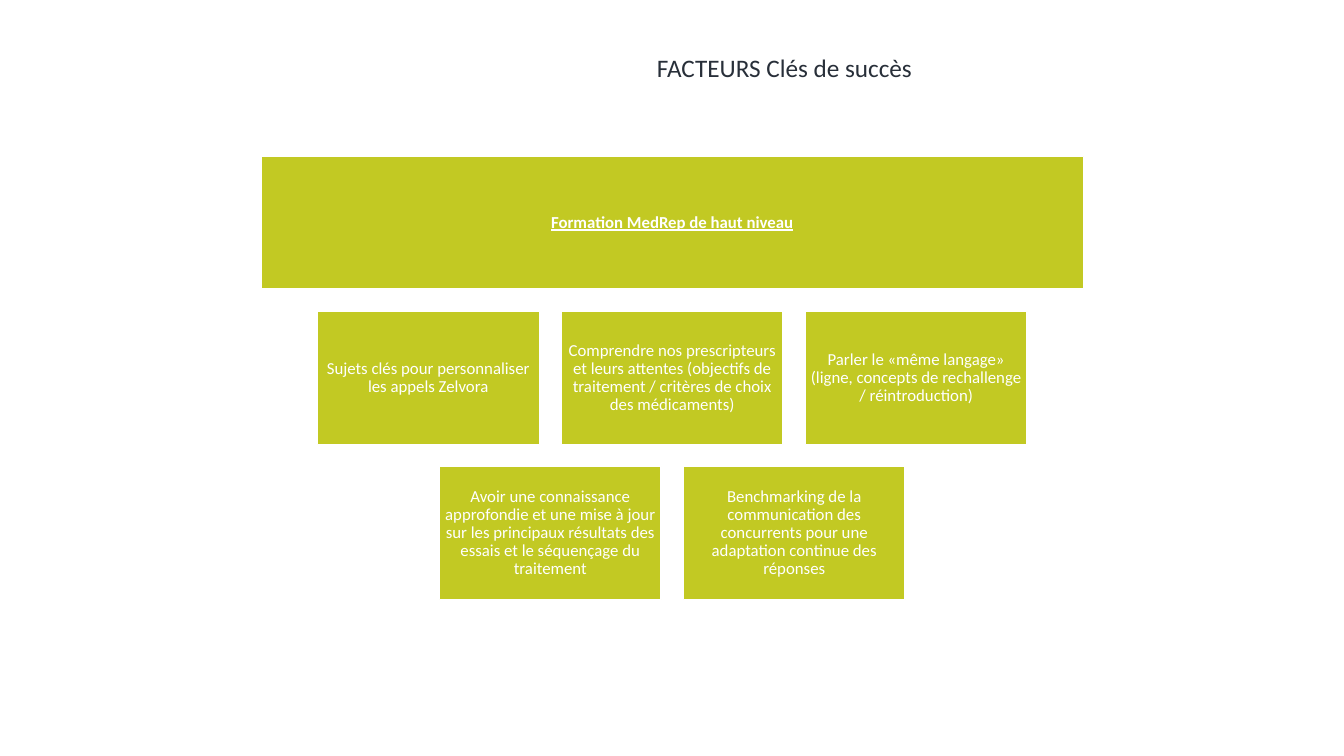
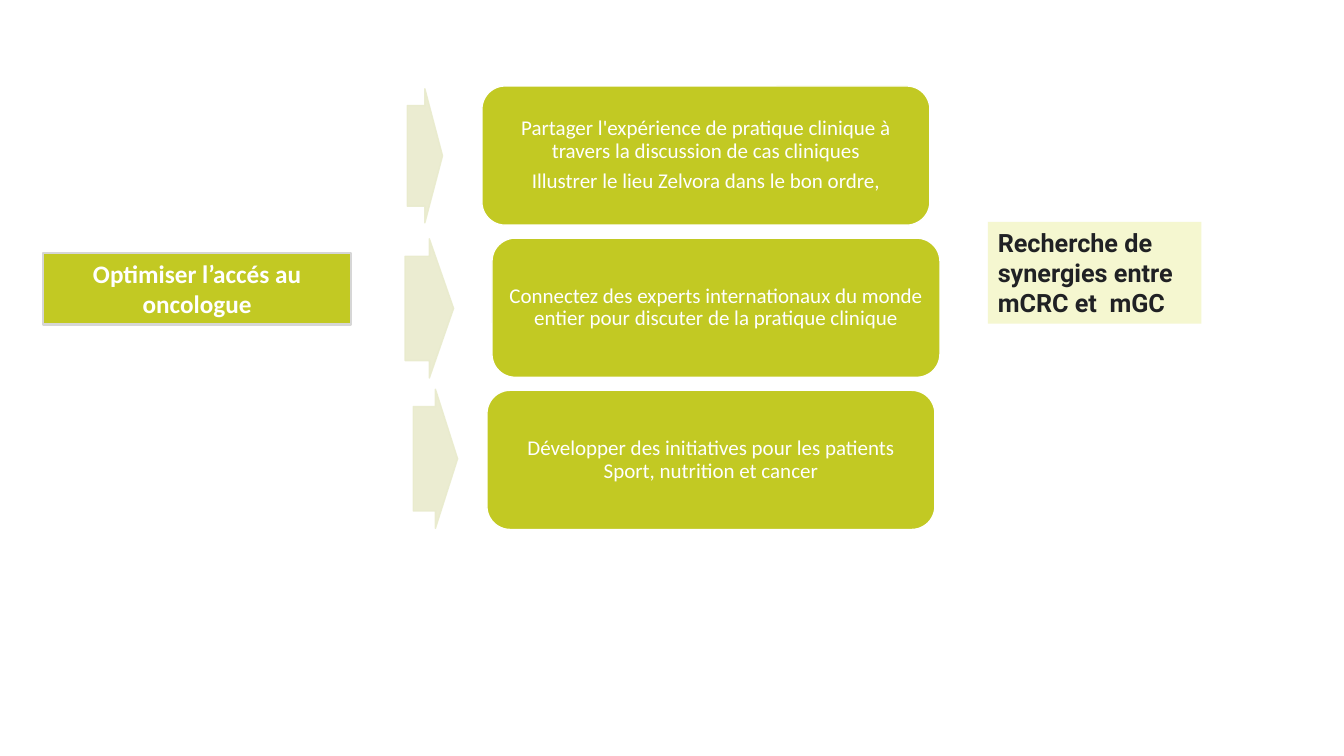
import pptx
import pptx.dml.color
import pptx.enum.shapes
import pptx.enum.text
import pptx.oxml
import pptx.oxml.ns
import pptx.util

Pt = pptx.util.Pt
SHAPE = pptx.enum.shapes.MSO_SHAPE
ALIGN = pptx.enum.text.PP_ALIGN
ANCHOR = pptx.enum.text.MSO_ANCHOR

COLOURS = {
    "lime": "C2C923",
    "pale_lime": "F5F7D0",
    "arrow": "E9EBCD",
    "white": "FFFFFF",
    "border": "D6D6D6",
    "title": "282F39",
    "note": "202124",
}
DEFAULT_INSETS = (7.2, 3.6)
TILE_INSETS = (3.6, 3.6)
CARD_INSETS = (4.3, 2.2)
TILE_WIDTH, TILE_HEIGHT, TILE_GAP = 158.4, 95, 15.85
CARD_WIDTH, CARD_HEIGHT, CARD_PITCH = 320, 99.4, 108.7


def rgb(name):
    return pptx.dml.color.RGBColor.from_string(COLOURS[name])


def write_text(shape, paragraphs, size, colour="white", font="Calibri", bold=False,
               underline=False, align=ALIGN.CENTER, anchor=ANCHOR.MIDDLE,
               insets=DEFAULT_INSETS, line_spacing=1.0):
    frame = shape.text_frame
    frame.word_wrap = True
    frame.vertical_anchor = anchor
    frame.margin_left = frame.margin_right = Pt(insets[0])
    frame.margin_top = frame.margin_bottom = Pt(insets[1])
    for index, text in enumerate(paragraphs):
        paragraph = frame.add_paragraph() if index else frame.paragraphs[0]
        paragraph.alignment = align
        paragraph.line_spacing = line_spacing
        if index:
            paragraph.space_before = Pt(0.35 * size)
        run = paragraph.add_run()
        run.text = text
        run.font.name = font
        run.font.size = Pt(size)
        run.font.bold = bold
        run.font.underline = underline
        run.font.color.rgb = rgb(colour)


def add_block(slide, kind, box, fill="lime", line="white", line_width=1):
    shape = slide.shapes.add_shape(kind, *map(Pt, box))
    shape.shadow.inherit = False
    shape.fill.solid()
    shape.fill.fore_color.rgb = rgb(fill)
    if line:
        shape.line.color.rgb = rgb(line)
        shape.line.width = Pt(line_width)
    else:
        shape.line.fill.background()
    return shape


def add_title(slide, box, text):
    title = slide.shapes.add_textbox(*map(Pt, box))
    write_text(title, [text], 18, "title", align=ALIGN.LEFT, anchor=ANCHOR.TOP)


def add_tile(slide, box, text, **style):
    tile = add_block(slide, SHAPE.RECTANGLE, box)
    write_text(tile, [text], 12, insets=TILE_INSETS, line_spacing=0.9, **style)


def add_tile_pyramid(slide, box, heading, rows):
    """Place a full-width heading, then centred rows of equal tiles."""
    left, top, width = box
    add_tile(slide, (left, top, width, TILE_HEIGHT), heading, bold=True, underline=True)
    for row_number, row in enumerate(rows, start=1):
        row_width = len(row) * (TILE_WIDTH + TILE_GAP) - TILE_GAP
        row_left = left + (width - row_width) / 2
        row_top = top + row_number * (TILE_HEIGHT + TILE_GAP)
        for column, text in enumerate(row):
            tile_left = row_left + column * (TILE_WIDTH + TILE_GAP)
            add_tile(slide, (tile_left, row_top, TILE_WIDTH, TILE_HEIGHT), text)


def add_arrow(slide, box):
    arrow = add_block(slide, SHAPE.RIGHT_ARROW, box, "arrow", "arrow")
    arrow.adjustments[0] = 0.75
    arrow.adjustments[1] = 0.5
    for colour in arrow.element.spPr.iter(pptx.oxml.ns.qn("a:srgbClr")):
        colour.append(pptx.oxml.parse_xml(
            f'<a:alpha {pptx.oxml.ns.nsdecls("a")} val="90000"/>'))


def add_action_cards(slide, left, top, actions):
    """Stack cards at an equal pitch; each has its own shift and arrow box."""
    for index, (shift, arrow_box, paragraphs) in enumerate(actions):
        card_top = top + index * CARD_PITCH
        arrow_left, arrow_top, arrow_width, arrow_height = arrow_box
        add_arrow(slide, (left + arrow_left, card_top + arrow_top, arrow_width, arrow_height))
        card = add_block(slide, SHAPE.ROUNDED_RECTANGLE,
                         (left + shift, card_top, CARD_WIDTH, CARD_HEIGHT))
        write_text(card, paragraphs, 15, insets=CARD_INSETS, line_spacing=0.9)


def add_goal(slide, box, text):
    goal = add_block(slide, SHAPE.RECTANGLE, box, line="border", line_width=1.5)
    write_text(goal, [text], 18, bold=True)


def add_note(slide, box, text):
    note = add_block(slide, SHAPE.RECTANGLE, box, "pale_lime", None)
    write_text(note, [text], 18, "note", "Roboto", bold=True, align=ALIGN.LEFT)


def build_success_factors(slide):
    add_tile_pyramid(slide, (186.5, 111.6, 587.5), "Formation MedRep de haut niveau", [
        ["Sujets clés pour personnaliser les appels Zelvora",
         "Comprendre nos prescripteurs et leurs attentes (objectifs de traitement / "
         "critères de choix des médicaments)",
         "Parler le «même langage» (ligne, concepts de rechallenge / réintroduction)"],
        ["Avoir une connaissance approfondie et une mise à jour sur les principaux "
         "résultats des essais et le séquençage du traitement",
         "Benchmarking de la communication des concurrents pour une adaptation "
         "continue des réponses"],
    ])
    add_title(slide, (462.2, 33.8, 243.4, 29), "FACTEURS Clés de succès")


def build_oncologist_access(slide):
    add_action_cards(slide, 344.2, 61.4, [
        (0, (-53.3, 2, 25.2, 95.8),
         ["Partager l'expérience de pratique clinique à travers la discussion de cas cliniques",
          "Illustrer le lieu Zelvora dans le bon ordre,"]),
        (7.2, (-54.8, 0.5, 34.6, 99.4),
         ["Connectez des experts internationaux du monde entier pour discuter "
          "de la pratique clinique"]),
        (3.6, (-49, -0.8, 31.7, 99.4),
         ["Développer des initiatives pour les patients Sport, nutrition et cancer"]),
    ])
    add_goal(slide, (31, 180.7, 219.6, 51.1), "Optimiser l’accés au oncologue")
    add_note(slide, (705.6, 158.4, 152.6, 72.7), "Recherche de synergies entre mCRC et  mGC")


def main():
    presentation = pptx.Presentation()
    presentation.slide_width = Pt(960)
    presentation.slide_height = Pt(540)
    blank_layout = presentation.slide_layouts[6]
    for build in (build_success_factors, build_oncologist_access):
        build(presentation.slides.add_slide(blank_layout))
    presentation.save("out.pptx")


if __name__ == "__main__":
    main()
